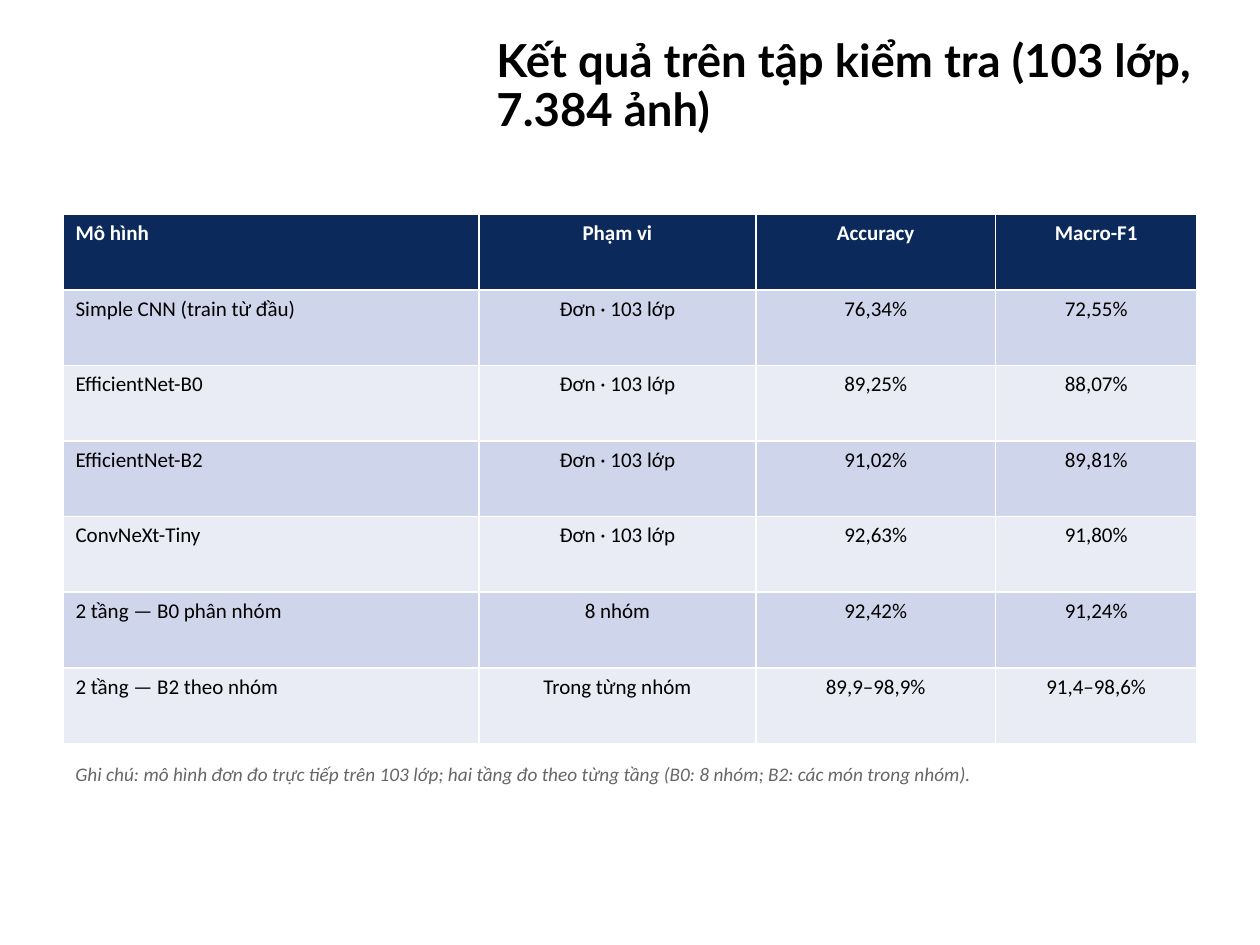
from pptx import Presentation
from pptx.dml.color import RGBColor
from pptx.enum.text import MSO_ANCHOR, MSO_AUTO_SIZE, PP_ALIGN
from pptx.util import Inches, Pt

COLORS = {
    "navy": "0B2A5B",
    "band_dark": "CFD5EA",
    "band_light": "E9EBF5",
    "white": "FFFFFF",
    "black": "000000",
    "gray": "666666",
}


def add_span(para, text, size, color, font="Calibri", bold=False, italic=False):
    span = para.add_run()
    span.text = text
    span.font.name = font
    span.font.size = Pt(size)
    span.font.bold = bold
    span.font.italic = italic
    span.font.color.rgb = RGBColor.from_string(COLORS[color])


deck = Presentation()
deck.slide_width, deck.slide_height = Inches(10), Inches(7.5)
page = deck.slides.add_slide(deck.slide_layouts[5])

# Title
title = page.shapes.title
title.left, title.top = Inches(3.84), Inches(0.25)
title.width, title.height = Inches(5.9), Inches(0.49)
title.text_frame.word_wrap = True
title.text_frame.auto_size = MSO_AUTO_SIZE.NONE
title.text_frame.vertical_anchor = MSO_ANCHOR.TOP
para = title.text_frame.paragraphs[0]
para.alignment = PP_ALIGN.LEFT
para.line_spacing = 0.9
add_span(para, "Kết quả trên tập kiểm tra (103 lớp, 7.384 ảnh)", 26, "black",
         font="Lato", bold=True)

# Results table
results = [
    ("Mô hình", "Phạm vi", "Accuracy", "Macro-F1"),
    ("Simple CNN (train từ đầu)", "Đơn · 103 lớp", "76,34%", "72,55%"),
    ("EfficientNet-B0", "Đơn · 103 lớp", "89,25%", "88,07%"),
    ("EfficientNet-B2", "Đơn · 103 lớp", "91,02%", "89,81%"),
    ("ConvNeXt-Tiny", "Đơn · 103 lớp", "92,63%", "91,80%"),
    ("2 tầng — B0 phân nhóm", "8 nhóm", "92,42%", "91,24%"),
    ("2 tầng — B2 theo nhóm", "Trong từng nhóm", "89,9–98,9%", "91,4–98,6%"),
]
column_widths = [3.3, 2.2, 1.9, 1.6]
table = page.shapes.add_table(len(results), len(column_widths), Inches(0.5),
                              Inches(1.7), Inches(9), Inches(4.2)).table
for column, width in zip(table.columns, column_widths):
    column.width = Inches(width)

for row, values in enumerate(results):
    table.rows[row].height = Inches(0.6)
    header = row == 0
    if header:
        fill = "navy"
    else:
        fill = "band_dark" if row % 2 else "band_light"
    for col, value in enumerate(values):
        cell = table.cell(row, col)
        cell.fill.solid()
        cell.fill.fore_color.rgb = RGBColor.from_string(COLORS[fill])
        para = cell.text_frame.paragraphs[0]
        para.alignment = PP_ALIGN.CENTER if col else PP_ALIGN.LEFT
        add_span(para, value, 12, "white" if header else "black", bold=header)

# Note below the table
note = page.shapes.add_textbox(Inches(0.5), Inches(6), Inches(9), Inches(1))
note.text_frame.word_wrap = True
note.text_frame.auto_size = MSO_AUTO_SIZE.SHAPE_TO_FIT_TEXT
add_span(note.text_frame.paragraphs[0],
         "Ghi chú: mô hình đơn đo trực tiếp trên 103 lớp; hai tầng đo theo từng tầng "
         "(B0: 8 nhóm; B2: các món trong nhóm).", 11, "gray", italic=True)

deck.save("out.pptx")
